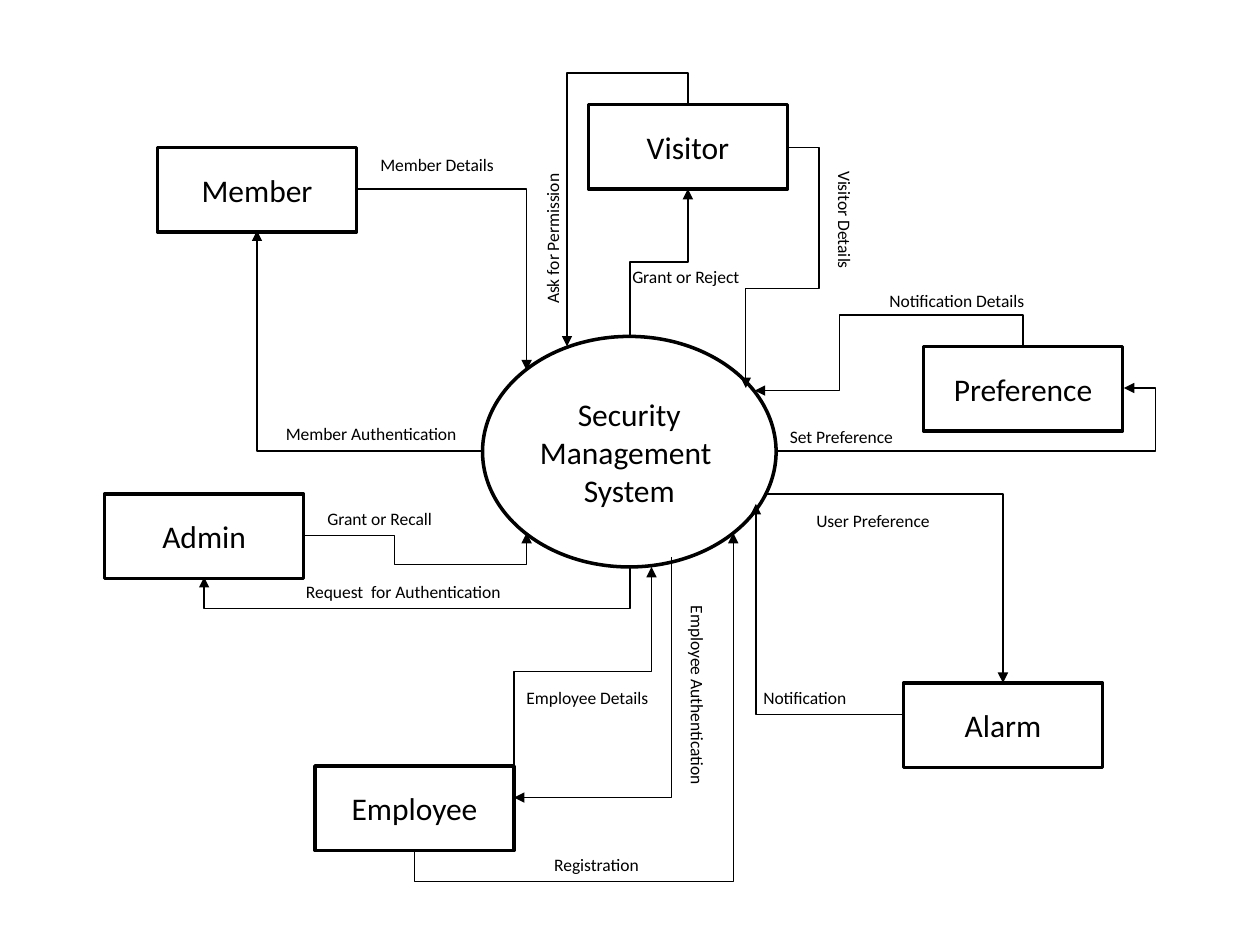
from pptx import Presentation
from pptx.dml.color import RGBColor
from pptx.enum.shapes import MSO_CONNECTOR, MSO_SHAPE
from pptx.enum.text import MSO_ANCHOR, MSO_AUTO_SIZE, PP_ALIGN
from pptx.oxml.ns import qn
from pptx.util import Inches, Pt
from lxml.etree import SubElement

COLORS = {"ink": "000000", "paper": "FFFFFF"}
FONTS = {
    "node": {"name": "Calibri", "size": Pt(18)},
    "label": {"name": "Calibri", "size": Pt(10)},
}
FRAMES = {
    "node": {"vertical_anchor": MSO_ANCHOR.MIDDLE, "word_wrap": True},
    "label": {"word_wrap": False, "auto_size": MSO_AUTO_SIZE.SHAPE_TO_FIT_TEXT},
}
NODE_W, NODE_H, LABEL_H = 1.58, 0.67, 0.27

# Left and top of each entity
NODES = {
    "Member": (1.25, 1.17),
    "Admin": (0.83, 3.92),
    "Visitor": (4.67, 0.83),
    "Employee": (2.5, 6.08),
    "Alarm": (7.17, 5.42),
    "Preference": (7.33, 2.75),
}

# Start, end, axis of the first leg, coordinates where inner legs turn
FLOWS = [
    ((2.83, 1.5), (4.18, 2.94), "x", []),
    ((3.83, 3.58), (2.04, 1.83), "x", []),
    ((6.08, 3.92), (7.96, 5.42), "x", []),
    ((5, 2.67), (5.46, 1.5), "y", [2.08]),
    ((2.42, 4.25), (4.18, 4.23), "x", [3.13, 4.48]),
    ((5, 4.5), (1.62, 4.58), "y", [4.83]),
    ((8.12, 2.75), (5.99, 3.1), "y", [2.5, 6.66]),
    ((6.17, 3.58), (8.92, 3.08), "x", [9.17]),
    ((6.25, 1.17), (5.92, 3.08), "x", [6.5, 2.29]),
    ((7.17, 5.67), (6, 4), "x", []),
    ((5.33, 4.42), (4.08, 6.33), "y", []),
    ((3.29, 6.75), (5.82, 4.23), "y", [7]),
    ((4.08, 6.17), (5.17, 4.5), "y", [5.33]),
    ((5.46, 0.83), (4.5, 2.75), "y", [0.58]),
]

# Text, left, top, width, rotation
LABELS = [
    ("Member Details", 2.92, 1.17, 1.12, 0),
    ("Member Authentication", 2.17, 3.31, 1.58, 0),
    ("Request  for Authentication", 2.33, 4.56, 1.78, 0),
    ("Grant or Recall", 2.5, 3.98, 1.05, 0),
    ("Registration", 4.3, 6.73, 0.89, 0),
    ("Employee Details", 4.08, 5.4, 1.18, 0),
    ("Employee Authentication", 4.71, 5.4, 1.65, 90),
    ("User Preference", 6.38, 4, 1.12, 0),
    ("Notification", 5.96, 5.4, 0.87, 0),
    ("Set Preference", 6.17, 3.33, 1.04, 0),
    ("Notification Details", 6.96, 2.25, 1.29, 0),
    ("Visitor Details", 6.21, 1.62, 0.99, 90),
    ("Grant or Reject", 4.92, 2.06, 1.07, 0),
    ("Ask for Permission", 3.76, 1.75, 1.25, 270),
]


def color(name):
    return RGBColor.from_string(COLORS[name])


def apply(target, values):
    for key, value in values.items():
        setattr(target, key, value)


def write(shape, lines, role, align):
    frame = shape.text_frame
    apply(frame, FRAMES[role])
    for i, text in enumerate(lines):
        para = frame.add_paragraph() if i else frame.paragraphs[0]
        para.alignment = align
        run = para.add_run()
        run.text = text
        apply(run.font, FONTS[role])
        run.font.color.rgb = color("ink")


def add_node(slide, kind, box, lines):
    shape = slide.shapes.add_shape(kind, *map(Inches, box))
    shape.shadow.inherit = False
    shape.fill.solid()
    shape.fill.fore_color.rgb = color("paper")
    shape.line.color.rgb = color("ink")
    shape.line.width = Pt(2)
    write(shape, lines, "node", PP_ALIGN.CENTER)


def add_flow(slide, origin, start, end, axis, turns):
    # Measure along the first leg, then across it
    along = "xy".index(axis)
    axes = (along, 1 - along)
    span = [end[a] - start[a] for a in axes]
    width, height = map(abs, span)
    left = origin[0] + (start[0] + end[0] - width) / 2
    top = origin[1] + (start[1] + end[1] - height) / 2
    line = slide.shapes.add_connector(
        MSO_CONNECTOR.ELBOW,
        *map(Inches, (left, top, left + width, top + height)))
    line.line.color.rgb = color("ink")
    line.line.width = Pt(0.75)

    # A vertical first leg is a quarter turn, which mirrors the cross axis
    props = line._element.spPr
    xfrm = props.find(qn("a:xfrm"))
    flips = (span[0] < 0, (span[1] < 0) != (along == 1))
    for key, flip in zip(("flipH", "flipV"), flips):
        xfrm.set(key, str(int(flip)))
    xfrm.set("rot", str(along * 90 * 60000))

    # Bends as shares of each span
    geom = props.find(qn("a:prstGeom"))
    geom.set("prst", f"bentConnector{len(turns) + 2}")
    guides = geom.find(qn("a:avLst"))
    for i, turn in enumerate(turns):
        share = (turn - start[axes[i]]) / span[i]
        SubElement(guides, qn("a:gd"), name=f"adj{i + 1}",
                   fmla=f"val {round(share * 100000)}")
    SubElement(props.find(qn("a:ln")), qn("a:tailEnd"), type="triangle")
    SubElement(props, qn("a:effectLst"))


def add_label(slide, box, text, turn):
    label = slide.shapes.add_textbox(*map(Inches, box))
    label.rotation = turn
    write(label, [text], "label", PP_ALIGN.LEFT)


def draw_nodes(slide, box):
    x, y = box
    add_node(slide, MSO_SHAPE.OVAL, (x + 3.83, y + 2.67, 2.33, 1.83),
             ["Security", "Management ", "System"])
    for name, (left, top) in NODES.items():
        add_node(slide, MSO_SHAPE.RECTANGLE,
                 (x + left, y + top, NODE_W, NODE_H), [name])


def draw_flows(slide, box):
    for flow in FLOWS:
        add_flow(slide, box, *flow)


def draw_labels(slide, box):
    x, y = box
    for text, left, top, width, turn in LABELS:
        add_label(slide, (x + left, y + top, width, LABEL_H), text, turn)


def main():
    deck = Presentation()
    deck.slide_width, deck.slide_height = Inches(10), Inches(7.5)
    slide = deck.slides.add_slide(deck.slide_layouts[6])
    for draw in (draw_nodes, draw_flows, draw_labels):
        draw(slide, (0, 0))
    deck.save("out.pptx")


if __name__ == "__main__":
    main()
